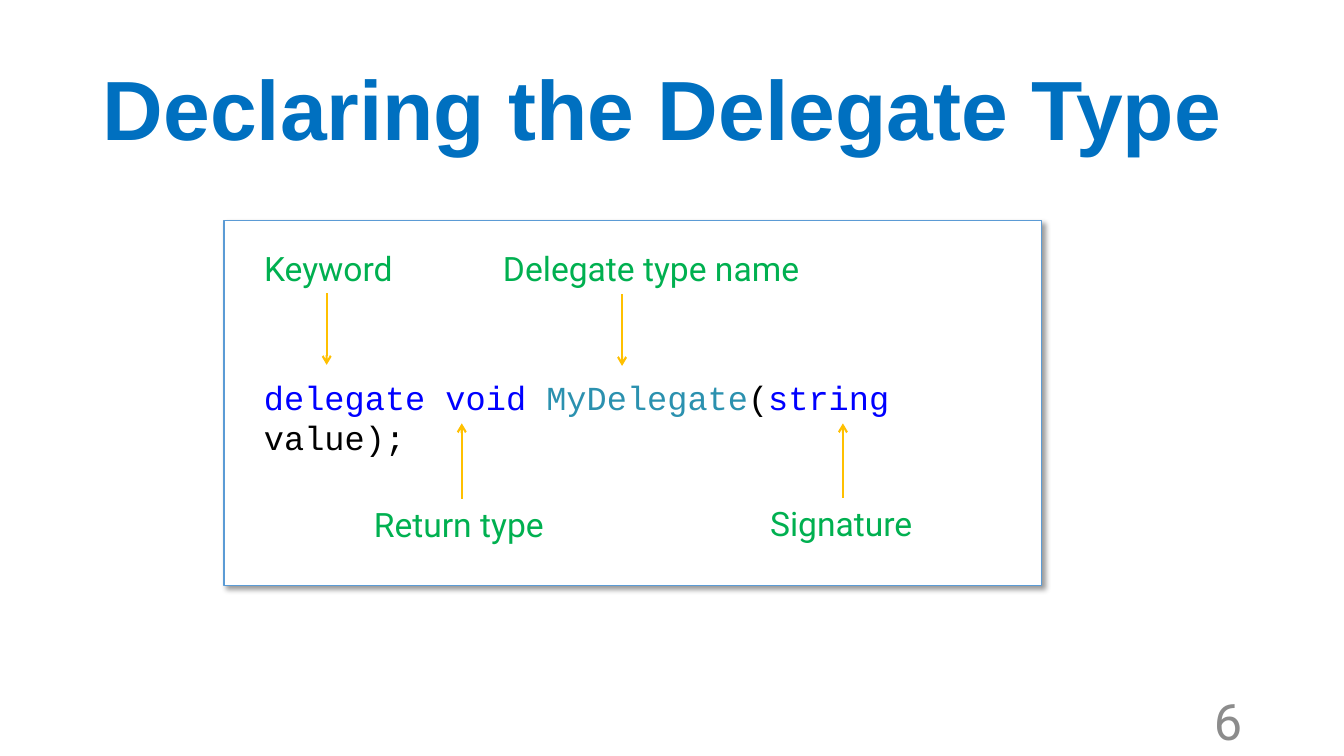
from dataclasses import dataclass

from lxml import etree
from pptx import Presentation
from pptx.dml.color import RGBColor
from pptx.enum.shapes import MSO_CONNECTOR, MSO_SHAPE
from pptx.enum.text import MSO_ANCHOR, MSO_AUTO_SIZE, PP_ALIGN
from pptx.oxml import parse_xml
from pptx.oxml.ns import nsdecls, qn
from pptx.util import Inches, Pt

RECTANGLE = MSO_SHAPE.RECTANGLE
STRAIGHT = MSO_CONNECTOR.STRAIGHT
MIDDLE, TOP = MSO_ANCHOR.MIDDLE, MSO_ANCHOR.TOP
LEFT, RIGHT = PP_ALIGN.LEFT, PP_ALIGN.RIGHT
FIT_SHAPE = MSO_AUTO_SIZE.SHAPE_TO_FIT_TEXT


@dataclass(frozen=True)
class Theme:
    title: str = "0070C0"
    number: str = "8C8C8C"
    panel: str = "FFFFFF"
    panel_line: str = "5B9BD5"
    label: str = "00B050"
    arrow: str = "FFC000"
    keyword: str = "0000FF"
    type_name: str = "2B91AF"
    code: str = "000000"
    title_size: int = 60
    number_size: int = 36
    body_size: int = 24


theme = Theme()

deck = Presentation()
deck.slide_width, deck.slide_height = Inches(13.33), Inches(7.5)
page = deck.slides.add_slide(deck.slide_layouts[6])


def add_text(place, spans, font, size, anchor=TOP, align=LEFT, bold=False):
    """Add a one-paragraph box; spans are (text, colour) pairs."""
    box = page.shapes.add_textbox(*(Inches(length) for length in place))
    box.text_frame.word_wrap = True
    box.text_frame.vertical_anchor = anchor
    para = box.text_frame.paragraphs[0]
    para.alignment = align
    for text, colour in spans:
        span = para.add_run()
        span.text = text
        span.font.name, span.font.size, span.font.bold = font, Pt(size), bold
        span.font.color.rgb = RGBColor.from_string(colour)
    return box


# Title and slide number
title = add_text((0.92, 0.4, 11.5, 1.45), [("Declaring the Delegate Type", theme.title)],
                 "Arial", theme.title_size, MIDDLE, bold=True)
title.text_frame.paragraphs[0].line_spacing = 0.9
add_text((9.42, 6.95, 3, 0.4), [("6", theme.number)],
         "Roboto", theme.number_size, MIDDLE, RIGHT)

# Panel with a soft shadow
panel = page.shapes.add_shape(RECTANGLE, Inches(2.22), Inches(2.19), Inches(8.11), Inches(3.62))
panel.fill.solid()
panel.fill.fore_color.rgb = RGBColor.from_string(theme.panel)
panel.line.color.rgb = RGBColor.from_string(theme.panel_line)
panel.line.width = Pt(1)
panel.shadow.inherit = False
panel.element.spPr.find(qn("a:effectLst")).append(parse_xml(
    f'<a:outerShdw {nsdecls("a")} blurRad="{Pt(4)}" dist="{Pt(3)}" dir="2700000" algn="tl" '
    'rotWithShape="0"><a:srgbClr val="000000"><a:alpha val="40000"/></a:srgbClr></a:outerShdw>'))

# Code line
code = [
    ("delegate", theme.keyword), (" ", theme.code), ("void", theme.keyword), (" ", theme.code),
    ("MyDelegate", theme.type_name), ("(", theme.code), ("string", theme.keyword),
    (" value);", theme.code),
]
code_box = add_text((2.52, 3.69, 7.4, 0.5), code, "Courier New", theme.body_size)
code_box.text_frame.auto_size = FIT_SHAPE

# Labels: text, left, top, width, then arrow x, start and end
labels = [
    ("Keyword", 2.52, 2.41, 1.51, 3.24, 2.91, 3.62),
    ("Delegate type name", 4.89, 2.41, 3.19, 6.17, 2.92, 3.63),
    ("Return type", 3.61, 4.95, 1.94, 4.58, 4.95, 4.2),
    ("Signature", 7.54, 4.94, 1.64, 8.36, 4.94, 4.2),
]
for text, left, top, width, x, start, end in labels:
    label = add_text((left, top, width, 0.5), [(text, theme.label)], "Roboto", theme.body_size)
    label.text_frame.word_wrap = False
    label.text_frame.auto_size = FIT_SHAPE

    arrow = page.shapes.add_connector(STRAIGHT, Inches(x), Inches(start), Inches(x), Inches(end))
    if start > end:  # the arrow rises from the middle of the label's top
        arrow.begin_connect(label, 0)
    arrow.line.color.rgb = RGBColor.from_string(theme.arrow)
    arrow.line.width = Pt(1.5)
    etree.SubElement(arrow.line._get_or_add_ln(), qn("a:tailEnd"), type="arrow")
    etree.SubElement(arrow.element.spPr, qn("a:effectLst"))

deck.save("out.pptx")
